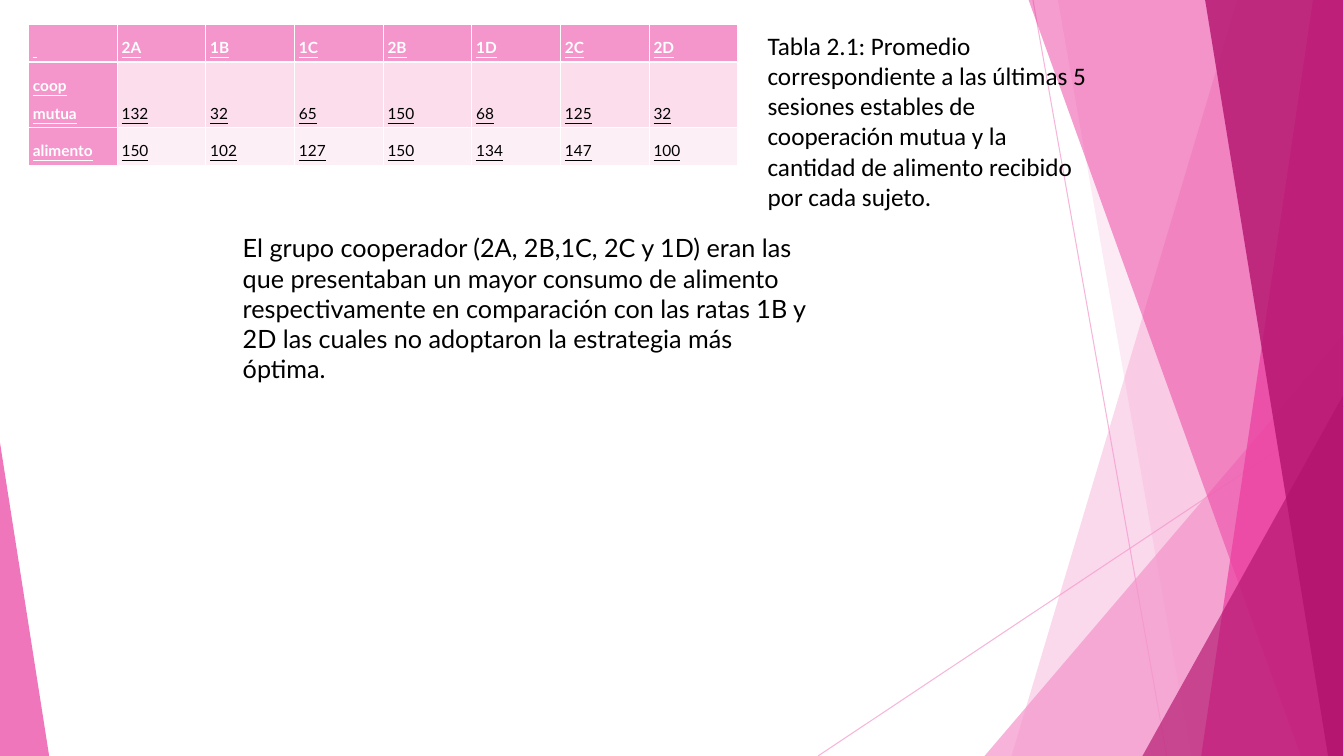
from dataclasses import dataclass

from lxml.etree import SubElement
from pptx import Presentation
from pptx.dml.color import RGBColor
from pptx.enum.shapes import MSO_CONNECTOR, MSO_SHAPE
from pptx.enum.text import MSO_ANCHOR, PP_ALIGN
from pptx.oxml.ns import qn
from pptx.util import Cm, Pt

HEADERS = [" ", "2A", "1B", "1C", "2B", "1D", "2C", "2D"]
ROWS = [
    ["coop mutua", 132, 32, 65, 150, 68, 125, 32],
    ["alimento", 150, 102, 127, 150, 134, 147, 100],
]
CAPTION = (
    "Tabla 2.1: Promedio correspondiente a las últimas 5 sesiones estables de "
    "cooperación mutua y la cantidad de alimento recibido por cada sujeto."
)
FINDING = (
    "El grupo cooperador (2A, 2B,1C, 2C y 1D) eran las que presentaban un mayor "
    "consumo de alimento respectivamente en comparación con las ratas 1B y 2D "
    "las cuales no adoptaron la estrategia más óptima."
)


@dataclass(frozen=True)
class Theme:
    light: str = "F496CB"
    bright: str = "EB3D9F"
    deep: str = "B2136D"
    bands: tuple = ("FBDDEC", "FDEFF6")
    white: str = "FFFFFF"
    black: str = "000000"
    body_font: str = "Lato"
    caption_font: str = "Calibri"
    body_size: int = 18
    table_size: int = 11
    thin_border: float = 0.45
    header_border: float = 1.47


THEME = Theme()

# All lengths below are centimetres.
SLIDE_WIDTH, SLIDE_HEIGHT = 33.88, 19.05
RIGHT_EDGE = 33.86
TABLE_BOX = (0.71, 0.61, 17.88, 3.23)
ROW_HEIGHTS = (0.79, 1.65, 0.79)
CELL_MARGIN = 0.12
CAPTION_BOX = (19.1, 0.63, 8.56, 4.83)
FINDING_BOX = (5.87, 5.74, 15.09, 4.06)

# Start x, start y, end x, end y
RAYS = [(26.04, 0, 29.41, SLIDE_HEIGHT), (RIGHT_EDGE, 10.24, 20.62, SLIDE_HEIGHT)]
# Back to front. Band: left x at top and at bottom. Triangle: left, top, width, apex.
FACETS = [
    ("band", (31.19, 25.5), THEME.light, 36),
    ("band", (26.67, 30.02), THEME.light, 20),
    ("triangle", (24.82, 8.46, 9.04, 1), THEME.light, 72),
    ("band", (25.93, 32.79), THEME.bright, 50),
    ("band", (33.1, 30.28), THEME.bright, 70),
    ("band", (30.38, 33.48), THEME.deep, 80),
    ("triangle", (28.8, 9.98, 5.05, 1), THEME.deep, 66),
    ("triangle", (0, 11.15, 1.24, 0), THEME.bright, 70),
]


def cm(values):
    return [Cm(value) for value in values]


def set_opacity(shape, percent):
    for color in shape._element.spPr.iter(qn("a:srgbClr")):
        SubElement(color, qn("a:alpha"), val=str(percent * 1000))


def add_ray(slide, ends):
    ray = slide.shapes.add_connector(MSO_CONNECTOR.STRAIGHT, *cm(ends))
    ray.line.color.rgb = RGBColor.from_string(THEME.light)
    ray.line.width = Pt(0.75)
    set_opacity(ray, 70)
    SubElement(ray._element.spPr, qn("a:effectLst"))


def add_band(slide, top_x, bottom_x):
    """Draw a full-height facet that reaches the right edge of the slide."""
    builder = slide.shapes.build_freeform(Cm(top_x), 0)
    corners = [(RIGHT_EDGE, 0), (RIGHT_EDGE, SLIDE_HEIGHT), (bottom_x, SLIDE_HEIGHT)]
    builder.add_line_segments([cm(corner) for corner in corners])
    return builder.convert_to_shape()


def add_triangle(slide, left, top, width, apex):
    """Draw a triangle standing on the bottom edge of the slide."""
    box = cm((left, top, width, SLIDE_HEIGHT - top))
    triangle = slide.shapes.add_shape(MSO_SHAPE.ISOSCELES_TRIANGLE, *box)
    triangle.adjustments[0] = apex
    return triangle


def add_facet(slide, kind, geometry, color, opacity):
    draw = add_band if kind == "band" else add_triangle
    facet = draw(slide, *geometry)
    facet.shadow.inherit = False
    facet.fill.solid()
    facet.fill.fore_color.rgb = RGBColor.from_string(color)
    facet.line.fill.background()
    set_opacity(facet, opacity)


def write_text(frame, text, *, size, font=THEME.body_font, color=THEME.black,
               bold=False, underline=False, align=PP_ALIGN.LEFT, spacing=1.0):
    frame.word_wrap = True
    paragraph = frame.paragraphs[0]
    paragraph.alignment = align
    paragraph.line_spacing = spacing
    run = paragraph.add_run()
    run.text = text
    run.font.name = font
    run.font.size = Pt(size)
    run.font.bold = bold
    run.font.underline = underline
    run.font.color.rgb = RGBColor.from_string(color)


def add_text(slide, box, text, **text_format):
    write_text(slide.shapes.add_textbox(*cm(box)).text_frame, text, **text_format)


def set_borders(cell, top, bottom):
    sides = {"lnL": THEME.thin_border, "lnR": THEME.thin_border, "lnT": top, "lnB": bottom}
    properties = cell._tc.get_or_add_tcPr()
    for side, width in sides.items():
        line = SubElement(properties, qn(f"a:{side}"), w=str(Pt(width)))
        fill = SubElement(line, qn("a:solidFill"))
        SubElement(fill, qn("a:srgbClr"), val=THEME.white)


def format_cell(cell, value, row, column):
    is_heading = row == 0 or column == 0
    cell.margin_left = cell.margin_right = Cm(CELL_MARGIN)
    cell.margin_top = cell.margin_bottom = Cm(CELL_MARGIN)
    cell.vertical_anchor = MSO_ANCHOR.BOTTOM
    set_borders(
        cell,
        top=THEME.header_border if row == 1 else THEME.thin_border,
        bottom=THEME.header_border if row == 0 else THEME.thin_border,
    )
    cell.fill.solid()
    color = THEME.light if is_heading else THEME.bands[row - 1]
    cell.fill.fore_color.rgb = RGBColor.from_string(color)
    write_text(
        cell.text_frame, str(value), size=THEME.table_size, bold=is_heading,
        color=THEME.white if is_heading else THEME.black,
        underline=True, align=PP_ALIGN.JUSTIFY, spacing=1.5,
    )


def add_results_table(slide):
    content = [HEADERS, *ROWS]
    table = slide.shapes.add_table(len(content), len(HEADERS), *cm(TABLE_BOX)).table
    for column in table.columns:
        column.width = Cm(TABLE_BOX[2] / len(HEADERS))
    for row, values in enumerate(content):
        table.rows[row].height = Cm(ROW_HEIGHTS[row])
        for column, value in enumerate(values):
            format_cell(table.cell(row, column), value, row, column)


def main():
    presentation = Presentation()
    presentation.slide_width = Cm(SLIDE_WIDTH)
    presentation.slide_height = Cm(SLIDE_HEIGHT)
    slide = presentation.slides.add_slide(presentation.slide_layouts[6])
    for ends in RAYS:
        add_ray(slide, ends)
    for facet in FACETS:
        add_facet(slide, *facet)
    add_results_table(slide)
    add_text(slide, CAPTION_BOX, CAPTION, size=THEME.body_size, font=THEME.caption_font)
    add_text(slide, FINDING_BOX, FINDING, size=THEME.body_size)
    presentation.save("out.pptx")


if __name__ == "__main__":
    main()
